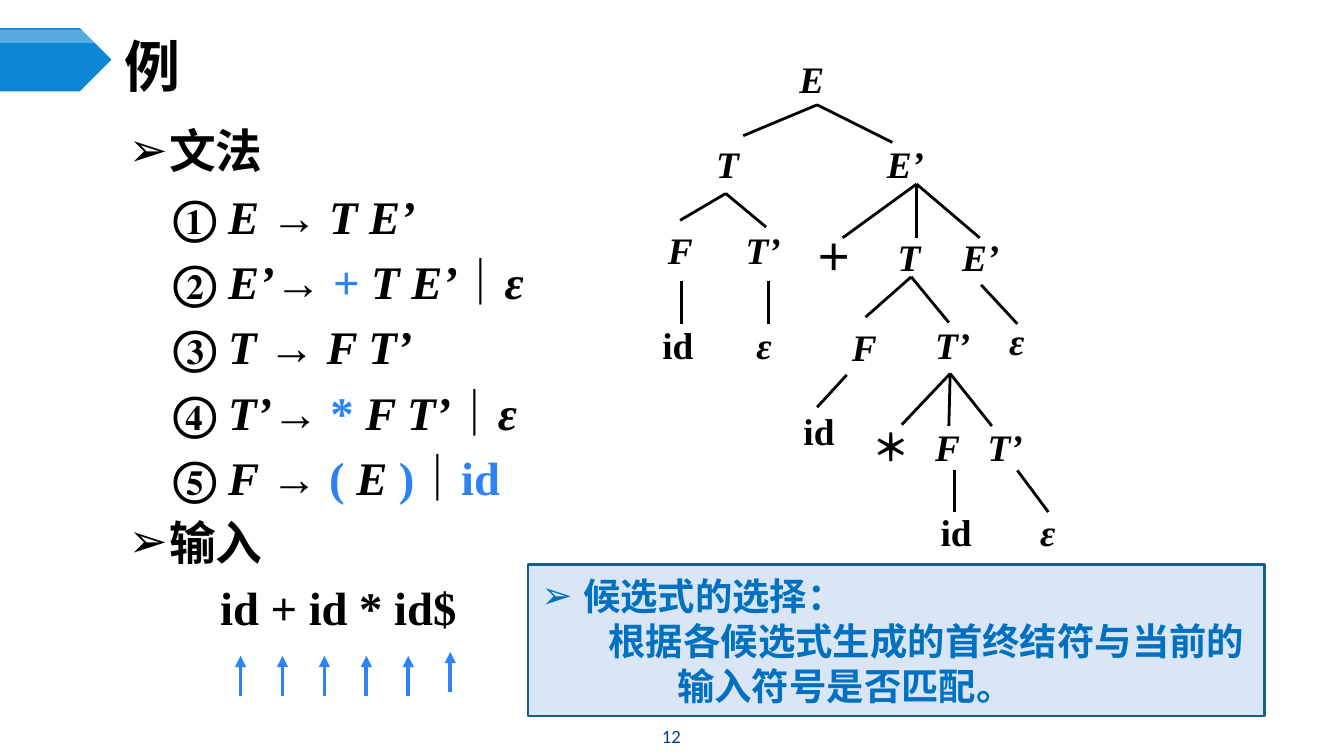
from dataclasses import dataclass

from lxml import etree
from pptx import Presentation
from pptx.dml.color import RGBColor
from pptx.enum.shapes import MSO_CONNECTOR, MSO_SHAPE
from pptx.enum.text import MSO_ANCHOR, PP_ALIGN
from pptx.oxml.ns import qn
from pptx.util import Inches, Pt

STRAIGHT, PENTAGON, RECTANGLE = MSO_CONNECTOR.STRAIGHT, MSO_SHAPE.PENTAGON, MSO_SHAPE.RECTANGLE
MIDDLE, CENTER, LEFT = MSO_ANCHOR.MIDDLE, PP_ALIGN.CENTER, PP_ALIGN.LEFT


@dataclass(frozen=True)
class Theme:
    """Colours, fonts and type sizes of the slide."""
    ink: str = "000000"
    terminal: str = "2D83F4"
    banner: str = "0B87D6"
    gloss: str = "FFFFFF"
    note_fill: str = "DAE6F6"
    note_line: str = "195F84"
    note_text: str = "0070C0"
    page: str = "073E87"
    serif: str = "Times New Roman"
    sans: str = "Calibri"
    cjk: str = "Noto Sans CJK SC"
    title_size: int = 30
    body_size: int = 25
    label_size: int = 20
    page_size: int = 10


THEME = Theme()
PLAIN, ITALIC, TERMINAL = "plain", "italic", "terminal"
RULES = [
    [("① ", PLAIN), ("E", ITALIC), (" → ", PLAIN), ("T E’", ITALIC)],
    [("② ", PLAIN), ("E’", ITALIC), ("→ ", PLAIN), ("+ ", TERMINAL),
     ("T E’", ITALIC), ("｜", PLAIN), ("ε", ITALIC)],
    [("③ ", PLAIN), ("T", ITALIC), (" → ", PLAIN), ("F T’", ITALIC)],
    [("④ ", PLAIN), ("T’", ITALIC), ("→ ", PLAIN), ("* ", TERMINAL),
     ("F T’", ITALIC), ("｜", PLAIN), ("ε", ITALIC)],
    [("⑤ ", PLAIN), ("F", ITALIC), (" → ", PLAIN), ("( ", TERMINAL),
     ("E ", ITALIC), (")", TERMINAL), ("｜", PLAIN), ("id", TERMINAL)],
]
LABEL_WIDTHS = {"E": 0.39, "T": 0.37, "F": 0.39, "E’": 0.48, "T’": 0.47,
                "id": 0.44, "ε": 0.32, "＋": 0.48, "＊": 0.48}
UPRIGHT_LABELS = {"id", "＋", "＊"}
NODES = [
    ("E", 1.02, 0), ("T", 0.4, 0.63), ("E’", 1.67, 0.63), ("F", 0.04, 1.27), ("T’", 0.62, 1.27),
    ("＋", 1.14, 1.32), ("T", 1.75, 1.32), ("E’", 2.23, 1.32), ("id", 0, 1.98), ("ε", 0.7, 1.98),
    ("F", 1.41, 1.99), ("T’", 2.03, 1.98), ("ε", 2.58, 1.95), ("id", 1.05, 2.62),
    ("＊", 1.56, 2.74), ("F", 2.03, 2.74), ("T’", 2.42, 2.74), ("id", 2.07, 3.37), ("ε", 2.81, 3.37),
]
BRANCHES = [
    ((1.25, 0.41), [(0.7, 0.64), (1.81, 0.69)]), ((0.57, 1.07), [(0.23, 1.27), (0.87, 1.32)]),
    ((1.99, 1.0), [(1.44, 1.4), (1.99, 1.4), (2.46, 1.4)]),
    ((0.24, 1.72), [(0.24, 2.04)]), ((0.89, 1.72), [(0.89, 2.04)]),
    ((1.95, 1.69), [(1.61, 1.99), (2.23, 2.03)]),
    ((2.47, 1.75), [(2.74, 2.04)]), ((1.47, 2.42), [(1.25, 2.66)]),
    ((2.24, 2.41), [(1.88, 2.79), (2.23, 2.8), (2.55, 2.8)]),
    ((2.27, 3.13), [(2.27, 3.44)]), ((2.74, 3.13), [(2.97, 3.44)]),
]
rgb = RGBColor.from_string


def set_font(paragraph, latin, size, color, bold=True, italic=None):
    """Set the shared font of a paragraph, with the CJK face for Han text."""
    font = paragraph.font
    font.name, font.size, font.bold, font.italic = latin, Pt(size), bold, italic
    font.color.rgb = rgb(color)
    defaults = paragraph._p.pPr.find(qn("a:defRPr"))
    etree.SubElement(defaults, qn("a:ea")).set("typeface", THEME.cjk)


def set_indent(paragraph, margin, bulleted):
    """Indent a paragraph, hanging it from an arrow bullet if asked."""
    properties = paragraph._p.get_or_add_pPr()
    properties.set("marL", str(Inches(margin)))
    properties.set("indent", str(Inches(-margin if bulleted else 0)))
    if bulleted:
        etree.SubElement(properties, qn("a:buFont")).set("typeface", THEME.sans)
        etree.SubElement(properties, qn("a:buChar")).set("char", "➢")


def add_text_frame(slide, box, wrap=True):
    """Add a text box and return its frame."""
    frame = slide.shapes.add_textbox(*map(Inches, box)).text_frame
    frame.word_wrap = wrap
    return frame


def add_panel(shapes, preset, box, color):
    """Add a flat filled shape without an outline."""
    panel = shapes.add_shape(preset, *map(Inches, box))
    panel.shadow.inherit = False
    panel.fill.solid()
    panel.fill.fore_color.rgb = rgb(color)
    panel.line.fill.background()
    return panel


def add_line(slide, start, end, color, weight, arrow=False):
    """Draw a straight line, with an arrowhead at its end if asked."""
    line = slide.shapes.add_connector(STRAIGHT, *map(Inches, (*start, *end)))
    line.line.color.rgb = rgb(color)
    line.line.width = Pt(weight)
    if arrow:
        outline = line._element.spPr.find(qn("a:ln"))
        etree.SubElement(outline, qn("a:tailEnd")).set("type", "triangle")
    etree.SubElement(line._element.spPr, qn("a:effectLst"))


def add_banner(slide, box):
    """Place the blue pennant with its translucent gloss strip."""
    left, top, width, _ = box
    pennant = slide.shapes.add_group_shape().shapes
    add_panel(pennant, PENTAGON, box, THEME.banner)
    gloss = add_panel(pennant, PENTAGON, (left, top + 0.01, width, 0.1), THEME.gloss)
    tint = gloss._element.spPr.find(qn("a:solidFill"))[0]
    etree.SubElement(tint, qn("a:alpha")).set("val", "30000")


def add_caption(slide, box, text, font, size, color, bold, align=LEFT):
    """Place a single vertically centred line of text."""
    frame = add_text_frame(slide, box)
    frame.vertical_anchor = MIDDLE
    caption = frame.paragraphs[0]
    caption.text, caption.alignment = text, align
    set_font(caption, font, size, color, bold)


def add_grammar(slide, box):
    """List the grammar rules and the input string."""
    frame = add_text_frame(slide, box)
    entries = [([("文法", PLAIN)], 0.3, True), *((rule, 0.33, False) for rule in RULES),
               ([("输入", PLAIN)], 0.3, True), ([("id + id * id$", PLAIN)], 0.68, False)]
    for index, (pieces, margin, bulleted) in enumerate(entries):
        entry = frame.add_paragraph() if index else frame.paragraphs[0]
        set_indent(entry, margin, bulleted)
        entry.line_spacing, entry.space_before = Pt(30), Pt(5 if index else 0)
        set_font(entry, THEME.cjk if bulleted else THEME.serif, THEME.body_size, THEME.ink)
        for text, style in pieces:
            run = entry.add_run()
            run.text = text
            run.font.italic = style == ITALIC
            run.font.color.rgb = rgb(THEME.terminal if style == TERMINAL else THEME.ink)


def add_parse_tree(slide, box):
    """Draw the parse tree from its branches and node labels."""
    left, top = box[:2]
    for (x, y), tips in BRANCHES:
        for tip_x, tip_y in tips:
            add_line(slide, (left + x, top + y), (left + tip_x, top + tip_y), THEME.ink, 1.5)
    for label, x, y in NODES:
        node_box = (left + x, top + y, LABEL_WIDTHS[label], 0.44)
        node = add_text_frame(slide, node_box, wrap=False).paragraphs[0]
        node.text = label
        set_font(node, THEME.serif, THEME.label_size, THEME.ink, italic=label not in UPRIGHT_LABELS)


def add_input_arrows(slide, box, count=6):
    """Point an arrow at each input symbol, the last one slightly raised."""
    left, top, width, height = box
    for index in range(count):
        x = left + width * index / (count - 1)
        y = top - 0.03 if index == count - 1 else top
        add_line(slide, (x, y + height), (x, y), THEME.terminal, 2, arrow=True)


def add_note(slide, box):
    """Place the framed note on choosing a candidate."""
    note = add_panel(slide.shapes, RECTANGLE, box, THEME.note_fill)
    note.line.color.rgb = rgb(THEME.note_line)
    note.line.width = Pt(1.25)
    frame = note.text_frame
    frame.word_wrap, frame.vertical_anchor = True, MIDDLE
    lines = [("候选式的选择：", 0.31), ("根据各候选式生成的首终结符与当前的", 0.5),
             ("输入符号是否匹配。", 1.01)]
    for index, (text, margin) in enumerate(lines):
        line = frame.add_paragraph() if index else frame.paragraphs[0]
        line.text = text
        set_indent(line, margin, bulleted=index == 0)
        line.alignment, line.line_spacing = LEFT, Pt(24)
        set_font(line, THEME.sans, THEME.label_size, THEME.note_text)


deck = Presentation()
deck.slide_width, deck.slide_height = Inches(10), Inches(10 * 9 / 16)
slide = deck.slides.add_slide(deck.slide_layouts[6])
add_grammar(slide, (0.86, 0.86, 6.54, 3.55))
add_parse_tree(slide, (4.83, 0.37, 3.4, 3.81))
add_input_arrows(slide, (1.79, 4.88, 1.56, 0.3))
add_caption(slide, (0.83, 0.29, 8.67, 0.39), "例", THEME.cjk, THEME.title_size, THEME.ink, True)
add_banner(slide, (0, 0.21, 0.83, 0.47))
add_note(slide, (3.93, 4.2, 5.48, 1.13))
add_caption(slide, (4.36, 5.33, 1.27, 0.3), "12", THEME.sans, THEME.page_size, THEME.page, False, CENTER)
deck.save("out.pptx")
